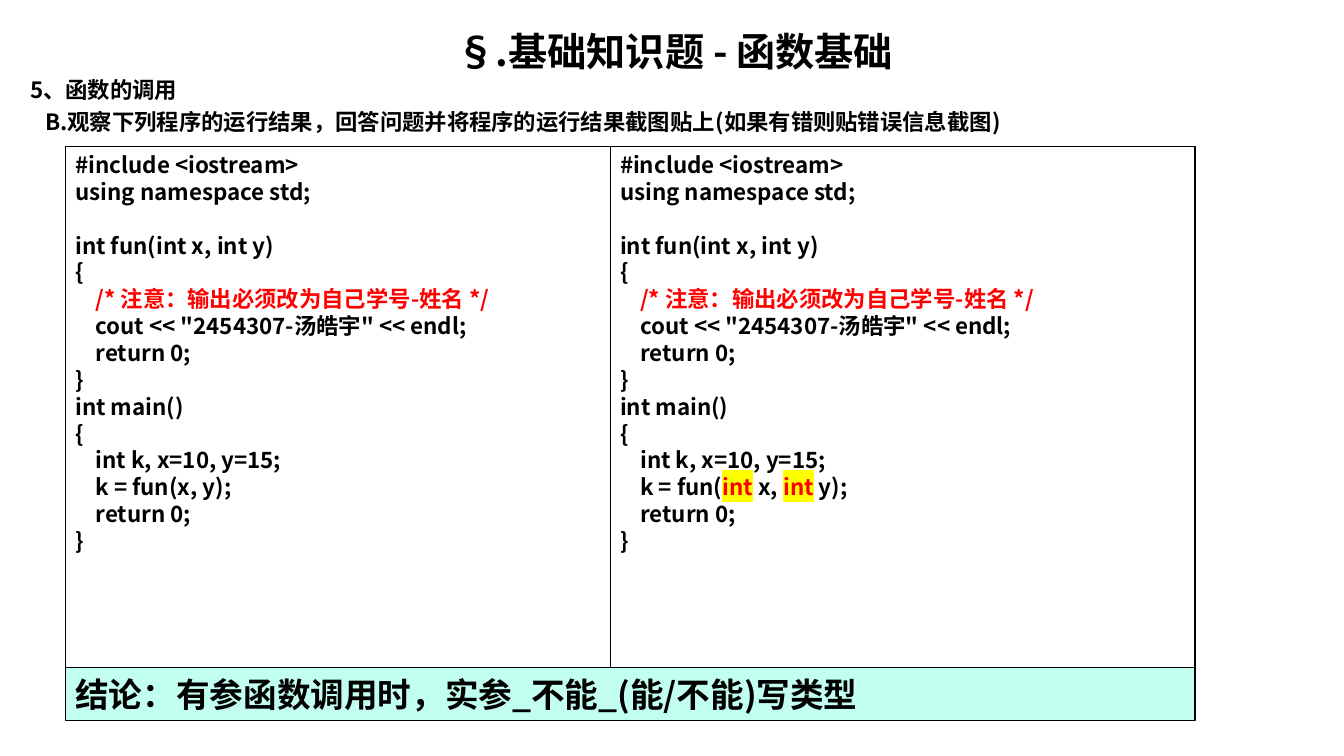
from lxml import etree
from pptx import Presentation
from pptx.dml.color import RGBColor
from pptx.enum.shapes import MSO_SHAPE
from pptx.enum.text import MSO_ANCHOR, MSO_AUTO_SIZE, PP_ALIGN
from pptx.oxml.ns import qn
from pptx.util import Pt

RECTANGLE = MSO_SHAPE.RECTANGLE
TOP, MIDDLE = MSO_ANCHOR.TOP, MSO_ANCHOR.MIDDLE
LEFT, CENTER = PP_ALIGN.LEFT, PP_ALIGN.CENTER
NO_AUTOFIT = MSO_AUTO_SIZE.NONE
BLACK = RGBColor(0x00, 0x00, 0x00)
RED = RGBColor(0xFF, 0x00, 0x00)
YELLOW = RGBColor(0xFF, 0xFF, 0x00)
MINT = RGBColor(0xC2, 0xFF, 0xF0)

NOTE = "    /* 注意：输出必须改为自己学号-姓名 */"
PLAIN_CALL = ["    k = fun(x, y);"]
TYPED_CALL = ["    k = fun(", "int", " x, ", "int", " y);"]


def program(call):
    return [
        ["#include <iostream>"],
        ["using namespace std;"],
        [],
        ["int fun(int x, int y)"],
        ["{"],
        [NOTE],
        ['    cout << "2454307-汤皓宇" << endl;'],
        ["    return 0;"],
        ["}"],
        ["int main()"],
        ["{"],
        ["    int k, x=10, y=15;"],
        call,
        ["    return 0;"],
        ["}"],
    ]


class QuizSlide:
    font = "Noto Sans CJK SC"
    leading = 1.2

    def __init__(self, deck):
        self.slide = deck.slides.add_slide(deck.slide_layouts[5])

    def format_run(self, run, size, color=BLACK, highlight=None):
        run.font.size = Pt(size)
        run.font.bold = True
        run.font.color.rgb = color
        properties = run._r.get_or_add_rPr()
        if highlight is not None:
            mark = etree.SubElement(properties, qn("a:highlight"))
            etree.SubElement(mark, qn("a:srgbClr")).set("val", str(highlight))
        run.font.name = self.font
        etree.SubElement(properties, qn("a:ea")).set("typeface", self.font)

    def fill_text(self, frame, lines, size, align=LEFT, anchor=TOP, gap=0):
        frame.word_wrap = True
        frame.auto_size = NO_AUTOFIT
        frame.vertical_anchor = anchor
        frame.margin_left = frame.margin_right = Pt(7.2)
        frame.margin_top = frame.margin_bottom = Pt(3.6)
        for index, parts in enumerate(lines):
            paragraph = frame.add_paragraph() if index else frame.paragraphs[0]
            paragraph.alignment = align
            paragraph.line_spacing = Pt(size * self.leading)
            paragraph.space_before = Pt(gap if index else 0)
            for part in parts:
                run = paragraph.add_run()
                run.text = part
                if part == "int":
                    self.format_run(run, size, RED, YELLOW)
                else:
                    self.format_run(run, size, RED if part == NOTE else BLACK)

    def title(self, heading, left, top, width, height):
        title = self.slide.shapes.title
        title.left, title.top = Pt(left), Pt(top)
        title.width, title.height = Pt(width), Pt(height)
        self.fill_text(title.text_frame, [[heading]], 28, CENTER)

    def question(self, lines, left, top, width, height, indent):
        question = self.slide.shapes.add_textbox(Pt(left), Pt(top), Pt(width), Pt(height))
        self.fill_text(question.text_frame, [[line] for line in lines], 16, gap=3.6)
        task = question.text_frame.paragraphs[-1]
        task._p.get_or_add_pPr().set("marL", str(Pt(indent)))

    def panel(self, lines, left, top, width, height, size=16, fill=None, anchor=TOP):
        panel = self.slide.shapes.add_shape(RECTANGLE, Pt(left), Pt(top), Pt(width), Pt(height))
        panel.shadow.inherit = False
        if fill is None:
            panel.fill.background()
        else:
            panel.fill.solid()
            panel.fill.fore_color.rgb = fill
        panel.line.color.rgb = BLACK
        panel.line.width = Pt(0.75)
        self.fill_text(panel.text_frame, lines, size, anchor=anchor)


def main():
    deck = Presentation()
    deck.slide_width, deck.slide_height = Pt(960), Pt(540)
    quiz = QuizSlide(deck)
    quiz.title("§.基础知识题 - 函数基础", 14.4, 15.8, 935.3, 40)
    quiz.question(
        ["5、函数的调用", "B.观察下列程序的运行结果，回答问题并将程序的运行结果截图贴上(如果有错则贴错误信息截图)"],
        14.4, 50.8, 935.3, 50, indent=10.8)

    left, top, width, height = 46.8, 104.4, 806.8, 410.4
    divider, conclusion_height = 435.8, 38.2
    bottom = top + height
    quiz.panel(program(PLAIN_CALL), left, top, width, height)
    quiz.panel(program(TYPED_CALL), divider, top, left + width - divider, height)
    quiz.panel([["结论：有参函数调用时，实参_不能_(能/不能)写类型"]],
               left, bottom - conclusion_height, width, conclusion_height,
               size=24, fill=MINT, anchor=MIDDLE)
    deck.save("out.pptx")


if __name__ == "__main__":
    main()
